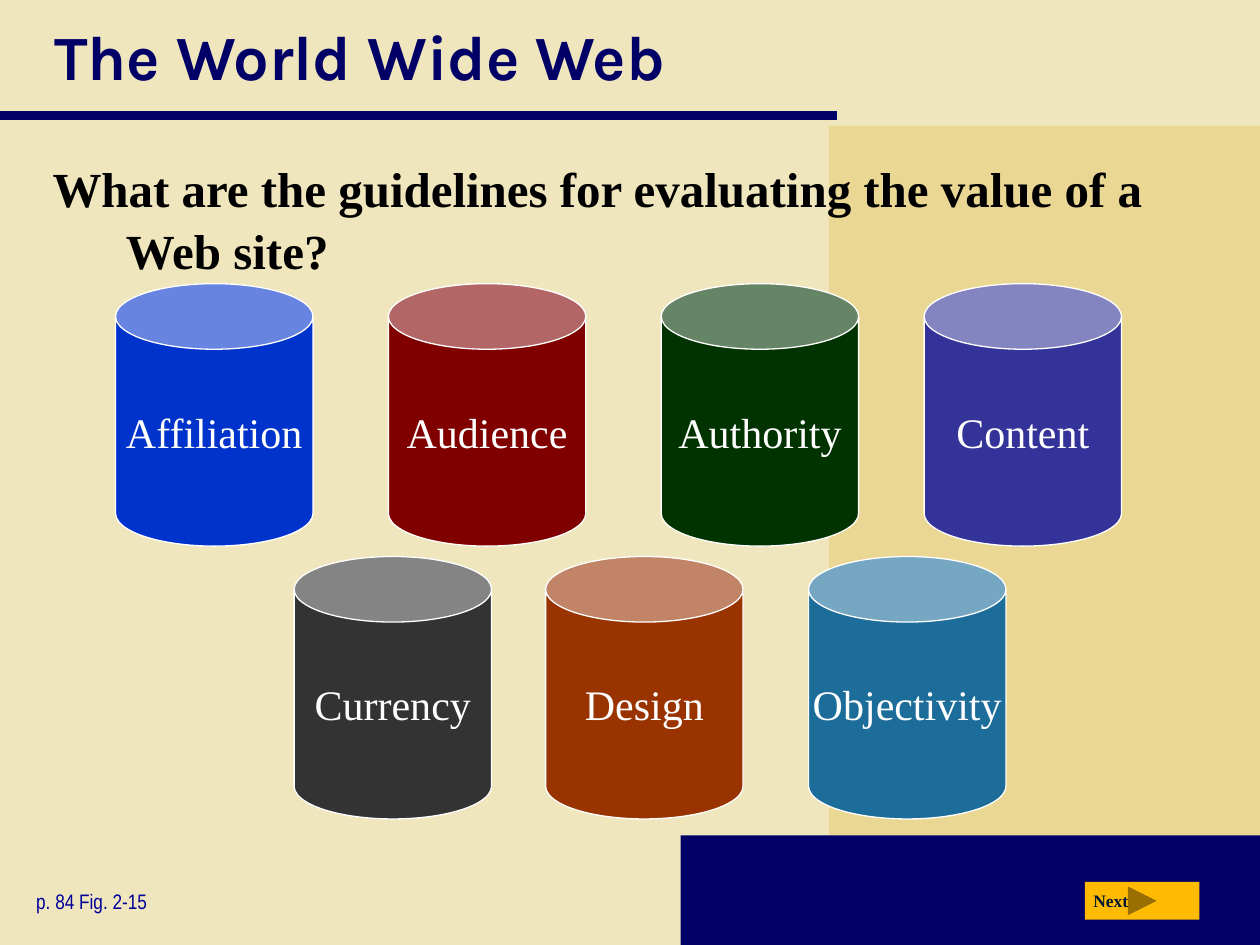
from lxml.etree import SubElement
from pptx import Presentation
from pptx.dml.color import RGBColor
from pptx.enum.shapes import MSO_CONNECTOR, MSO_SHAPE
from pptx.enum.text import MSO_ANCHOR, PP_ALIGN
from pptx.oxml.ns import qn
from pptx.util import Cm, Pt

CREAM = RGBColor(0xF0, 0xE6, 0xBE)
SAND = RGBColor(0xE9, 0xD7, 0x93)
NAVY = RGBColor(0x00, 0x00, 0x66)
INK = RGBColor(0x00, 0x00, 0x99)
AMBER = RGBColor(0xFF, 0xBA, 0x02)
MIDNIGHT = RGBColor(0x00, 0x19, 0x32)
BLACK = RGBColor(0x00, 0x00, 0x00)
WHITE = RGBColor(0xFF, 0xFF, 0xFF)
BLUE = RGBColor(0x00, 0x33, 0xCC)
MAROON = RGBColor(0x80, 0x00, 0x00)
GREEN = RGBColor(0x00, 0x33, 0x00)
INDIGO = RGBColor(0x33, 0x33, 0x99)
CHARCOAL = RGBColor(0x33, 0x33, 0x33)
RUST = RGBColor(0x99, 0x33, 0x00)
TEAL = RGBColor(0x1C, 0x6D, 0x9A)

SERIF = "Times New Roman"
GUIDELINE_ROWS = (
    (5.72, (("Affiliation", 2.33, BLUE), ("Audience", 7.83, MAROON),
            ("Authority", 13.33, GREEN), ("Content", 18.63, INDIGO))),
    (11.22, (("Currency", 5.93, CHARCOAL), ("Design", 11.0, RUST),
             ("Objectivity", 16.3, TEAL))),
)


def write_text(shape, text, font=SERIF, size=24, color=BLACK, bold=False,
               align=PP_ALIGN.LEFT, anchor=MSO_ANCHOR.TOP, wrap=True, hanging=0, spacing=1.0):
    """Put one formatted paragraph into a shape."""
    frame = shape.text_frame
    frame.word_wrap = wrap
    frame.vertical_anchor = anchor
    para = frame.paragraphs[0]
    para.alignment = align
    para.line_spacing = spacing
    para.space_before = Pt(0)
    if hanging:
        properties = para._p.get_or_add_pPr()
        properties.set("marL", str(Cm(hanging)))
        properties.set("indent", str(-Cm(hanging)))
    span = para.add_run()
    span.text = text
    span.font.name = font
    span.font.size = Pt(size)
    span.font.bold = bold
    span.font.color.rgb = color


def add_text(shapes, text, left, top, width, height, **style):
    """Add a text box holding one paragraph."""
    box = shapes.add_textbox(Cm(left), Cm(top), Cm(width), Cm(height))
    write_text(box, text, **style)


def add_block(shapes, kind, left, top, width, height, fill):
    """Add a flat filled shape without an outline."""
    block = shapes.add_shape(kind, Cm(left), Cm(top), Cm(width), Cm(height))
    block.shadow.inherit = False
    block.fill.solid()
    block.fill.fore_color.rgb = fill
    block.line.fill.background()
    return block


def add_rule(shapes, top, width):
    """Add the horizontal rule below the title."""
    rule = shapes.add_connector(MSO_CONNECTOR.STRAIGHT, Cm(0), Cm(top), Cm(width), Cm(top))
    rule.line.color.rgb = NAVY
    rule.line.width = Pt(5)
    SubElement(rule._element.spPr, qn("a:effectLst"))


def add_can(shapes, label, left, top, fill):
    """Add a labelled can for one guideline."""
    can = add_block(shapes, MSO_SHAPE.CAN, left, top, 3.98, 5.29, fill)
    can.adjustments[0] = 0.332
    can.line.color.rgb = WHITE
    can.line.width = Pt(0.75)
    write_text(can, label, color=WHITE, align=PP_ALIGN.CENTER,
               anchor=MSO_ANCHOR.MIDDLE, wrap=False)


def add_next_button(shapes):
    """Add the grouped forward button and its label."""
    group = shapes.add_group_shape()
    add_block(group.shapes, MSO_SHAPE.ACTION_BUTTON_FORWARD_OR_NEXT,
              21.87, 17.78, 2.31, 0.76, AMBER)
    add_text(group.shapes, "Next", 21.79, 17.81, 1.3, 0.69,
             size=10, color=MIDNIGHT, bold=True, wrap=False)


def set_title(page, text):
    """Place and format the title placeholder."""
    title = page.shapes.title
    title.left, title.top, title.width, title.height = Cm(0.84), Cm(0), Cm(23.85), Cm(2.24)
    write_text(title, text, font="Karla", size=36, color=NAVY, bold=True,
               anchor=MSO_ANCHOR.MIDDLE)


def main():
    """Build and save the deck."""
    deck = Presentation()
    deck.slide_width, deck.slide_height = Cm(25.4), Cm(19.05)
    page = deck.slides.add_slide(deck.slide_layouts[5])
    page.background.fill.solid()
    page.background.fill.fore_color.rgb = CREAM
    shapes = page.shapes
    add_block(shapes, MSO_SHAPE.RECTANGLE, 16.71, 2.54, 8.69, 16.51, SAND)
    add_block(shapes, MSO_SHAPE.RECTANGLE, 13.72, 16.84, 11.68, 2.21, NAVY)
    add_rule(shapes, 2.33, 16.87)
    set_title(page, "The World Wide Web")
    add_text(shapes, "What are the guidelines for evaluating the value of a Web site?",
             0.81, 3.02, 23.85, 3.1, size=28, bold=True, hanging=1.48, spacing=1.05)
    add_text(shapes, "p. 84 Fig. 2-15", 0.48, 17.78, 4.29, 0.76,
             font="Arial Narrow", size=12, color=INK)
    add_next_button(shapes)
    for top, cans in GUIDELINE_ROWS:
        for label, left, fill in cans:
            add_can(shapes, label, left, top, fill)
    deck.save("out.pptx")


if __name__ == "__main__":
    main()
